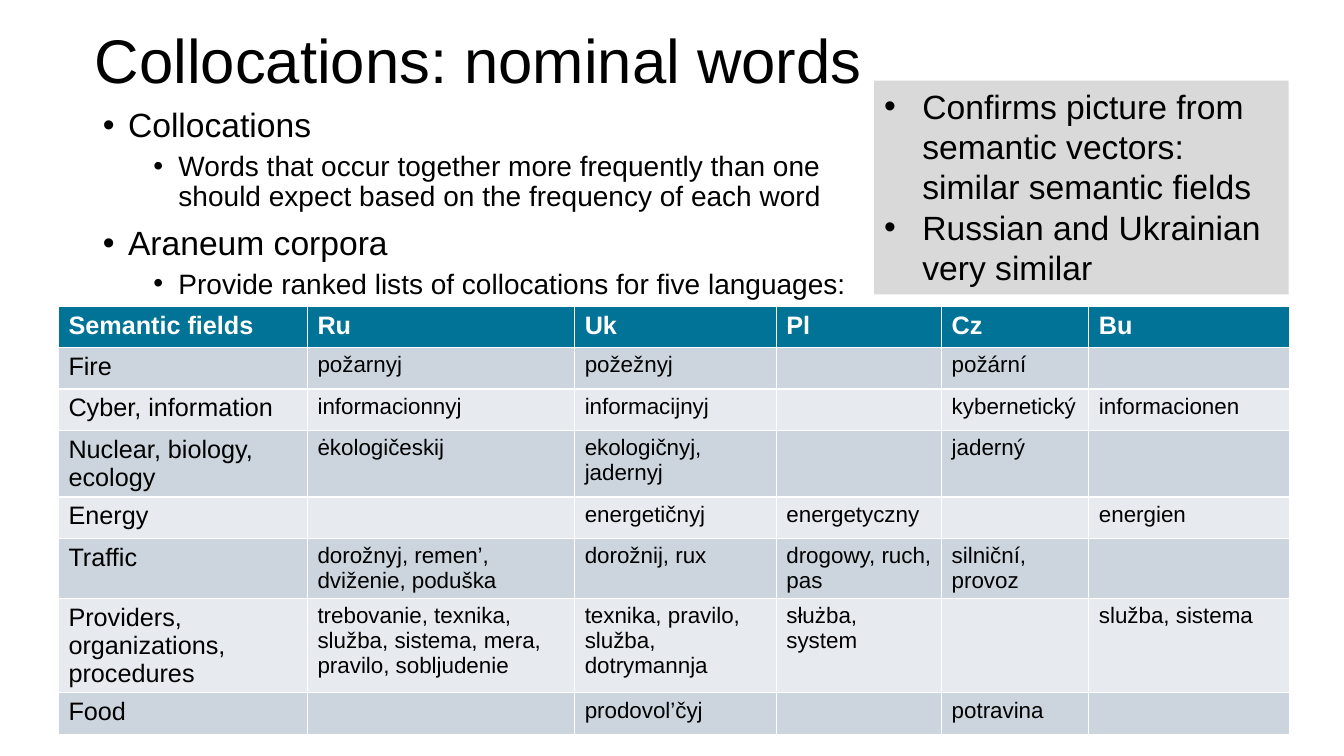
from lxml import etree
from pptx import Presentation
from pptx.dml.color import RGBColor
from pptx.enum.shapes import MSO_SHAPE
from pptx.enum.text import MSO_ANCHOR, MSO_AUTO_SIZE, PP_ALIGN
from pptx.oxml.ns import qn
from pptx.util import Inches, Pt

RECTANGLE = MSO_SHAPE.RECTANGLE
TOP, MIDDLE = MSO_ANCHOR.TOP, MSO_ANCHOR.MIDDLE
LEFT = PP_ALIGN.LEFT
NO_FIT = MSO_AUTO_SIZE.NONE
FONT = "Arial"
BLACK = RGBColor(0x00, 0x00, 0x00)
WHITE = RGBColor(0xFF, 0xFF, 0xFF)
TEAL = RGBColor(0x00, 0x73, 0x96)
BAND_DARK = RGBColor(0xCC, 0xD5, 0xDD)
BAND_LIGHT = RGBColor(0xE7, 0xEB, 0xEF)
GREY = RGBColor(0xD9, 0xD9, 0xD9)

# Content
TITLE = "Collocations: nominal words"
BODY = [  # (level, text)
    (0, "Collocations"),
    (1, "Words that occur together more frequently than one should expect "
        "based on the frequency of each word"),
    (0, "Araneum corpora"),
    (1, "Provide ranked lists of collocations for five languages:"),
]
FINDINGS = [
    "Confirms picture from semantic vectors: similar semantic fields",
    "Russian and Ukrainian very similar",
]
TABLE = [
    ("Semantic fields", "Ru", "Uk", "Pl", "Cz", "Bu"),
    ("Fire", "požarnyj", "požežnyj", "", "požární", ""),
    ("Cyber, information", "informacionnyj", "informacijnyj", "",
     "kybernetický", "informacionen"),
    ("Nuclear, biology, ecology", "ėkologičeskij", "ekologičnyj, jadernyj",
     "", "jaderný", ""),
    ("Energy", "", "energetičnyj", "energetyczny", "", "energien"),
    ("Traffic", "dorožnyj, remen’, dviženie, poduška", "dorožnij, rux",
     "drogowy, ruch, pas", "silniční, provoz", ""),
    ("Providers, organizations, procedures",
     "trebovanie, texnika, služba, sistema, mera, pravilo, sobljudenie",
     "texnika, pravilo, služba, dotrymannja", "służba, system", "",
     "služba, sistema"),
    ("Food", "", "prodovol’čyj", "", "potravina", ""),
]
COLUMN_WIDTHS = (2.47, 2.65, 2, 1.64, 1.46, 1.99)
ROW_HEIGHT = 0.41


def place(shape, left, top, width, height):
    shape.left, shape.top = Inches(left), Inches(top)
    shape.width, shape.height = Inches(width), Inches(height)


def style(p, size, color=BLACK, bold=False):
    p.alignment = LEFT
    for r in p.runs:
        r.font.name, r.font.size = FONT, Pt(size)
        r.font.color.rgb, r.font.bold = color, bold


def add_bullet(p, margin, hanging):
    pPr = p._p.get_or_add_pPr()
    pPr.set("marL", str(Inches(margin)))
    pPr.set("indent", str(-Inches(hanging)))
    etree.SubElement(pPr, qn("a:buFont")).set("typeface", FONT)
    etree.SubElement(pPr, qn("a:buChar")).set("char", "•")


prs = Presentation()
prs.slide_width, prs.slide_height = Inches(13.33), Inches(7.5)
s = prs.slides.add_slide(prs.slide_layouts[1])

# Title
title = s.shapes.title
place(title, 0.84, 0, 7.87, 1.27)
tf = title.text_frame
tf.text = TITLE
tf.auto_size, tf.vertical_anchor = NO_FIT, MIDDLE
tf.paragraphs[0].line_spacing = 0.9
style(tf.paragraphs[0], 44)

# Two-level list
body = s.placeholders[1]
place(body, 0.92, 1.03, 8.19, 2.38)
tf = body.text_frame
tf.text = "\n".join(text for _, text in BODY)
tf.auto_size = NO_FIT
for i, (p, (level, _)) in enumerate(zip(tf.paragraphs, BODY)):
    p.level = level
    add_bullet(p, 0.25 + 0.5 * level, 0.25)
    p.line_spacing = 0.9
    p.space_before = Pt((10, 5)[level] if i else 0)
    style(p, (24, 20)[level])

# Collocation table
table = s.shapes.add_table(
    len(TABLE), len(COLUMN_WIDTHS), Inches(0.58), Inches(3.04),
    Inches(sum(COLUMN_WIDTHS)), Inches(ROW_HEIGHT * len(TABLE))).table
for column, width in zip(table.columns, COLUMN_WIDTHS):
    column.width = Inches(width)
for i, words in enumerate(TABLE):
    table.rows[i].height = Inches(ROW_HEIGHT)
    header = i == 0
    for j, text in enumerate(words):
        cell = table.cell(i, j)
        cell.fill.solid()
        cell.fill.fore_color.rgb = (
            TEAL if header else BAND_DARK if i % 2 else BAND_LIGHT)
        if text:
            cell.text = text
            style(cell.text_frame.paragraphs[0],
                  18 if header or j == 0 else 16,
                  WHITE if header else BLACK, header)

# Findings box
box = s.shapes.add_shape(RECTANGLE, Inches(8.67), Inches(0.8),
                         Inches(4.11), Inches(2.12))
box.shadow.inherit = False
box.fill.solid()
box.fill.fore_color.rgb = GREY
box.line.fill.background()
tf = box.text_frame
tf.text = "\n".join(FINDINGS)
tf.word_wrap, tf.vertical_anchor = True, TOP
for p in tf.paragraphs:
    add_bullet(p, 0.38, 0.38)
    style(p, 24)

prs.save("out.pptx")
